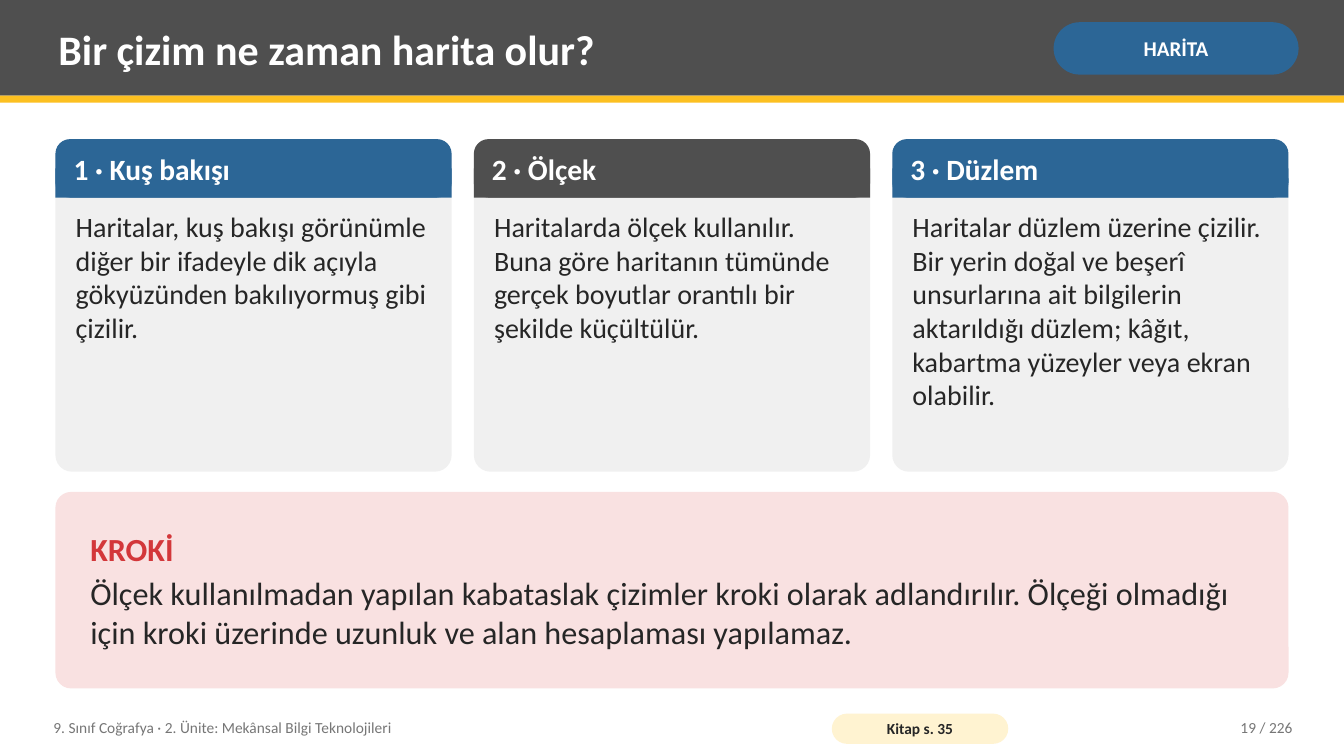
"""Build the slide on what turns a drawing into a map."""
from pptx import Presentation
from pptx.dml.color import RGBColor
from pptx.enum.shapes import MSO_SHAPE
from pptx.enum.text import MSO_ANCHOR, PP_ALIGN
from pptx.util import Pt

PX = 9144
RECT = MSO_SHAPE.RECTANGLE
ROUND = MSO_SHAPE.ROUNDED_RECTANGLE
TOP, MIDDLE = MSO_ANCHOR.TOP, MSO_ANCHOR.MIDDLE
LEFT, CENTER, RIGHT = PP_ALIGN.LEFT, PP_ALIGN.CENTER, PP_ALIGN.RIGHT

WHITE = RGBColor(0xFF, 0xFF, 0xFF)
CHARCOAL = RGBColor(0x4F, 0x4F, 0x4F)
YELLOW = RGBColor(0xFC, 0xC0, 0x21)
BLUE = RGBColor(0x2C, 0x66, 0x96)
PALE_GRAY = RGBColor(0xF0, 0xF0, 0xF0)
INK = RGBColor(0x26, 0x26, 0x26)
PINK = RGBColor(0xF9, 0xE1, 0xE1)
RED = RGBColor(0xD3, 0x37, 0x3A)
GRAY = RGBColor(0x76, 0x76, 0x76)
CREAM = RGBColor(0xFF, 0xF3, 0xD1)

deck = Presentation()
deck.slide_width, deck.slide_height = 1333 * PX, 750 * PX
page = deck.slides.add_slide(deck.slide_layouts[6])


def add_panel(left, top, width, height, fill, radius=None):
    """Add a filled rectangle, rounded when a radius is given."""
    kind = RECT if radius is None else ROUND
    panel = page.shapes.add_shape(kind, left * PX, top * PX, width * PX, height * PX)
    if radius is not None:
        panel.adjustments[0] = radius
    panel.shadow.inherit = False
    panel.fill.solid()
    panel.fill.fore_color.rgb = fill
    panel.line.fill.background()
    return panel


def write(box, lines, align=LEFT, anchor=MIDDLE, inset=(8, 4)):
    """Fill a box with lines of (text, size, colour, bold)."""
    frame = box.text_frame
    frame.word_wrap = True
    frame.vertical_anchor = anchor
    frame.margin_left = frame.margin_right = inset[0] * PX
    frame.margin_top = frame.margin_bottom = inset[1] * PX
    frame.text = "\n".join(line[0] for line in lines)
    for para, (_, size, color, bold) in zip(frame.paragraphs, lines):
        para.alignment = align
        font = para.runs[0].font
        font.name, font.size, font.bold = "Calibri", Pt(size), bold
        font.color.rgb = color


add_panel(0, 0, 1333, 95, CHARCOAL)
add_panel(0, 95, 1333, 7, YELLOW)
title = page.shapes.add_textbox(50 * PX, 7 * PX, 975 * PX, 82 * PX)
write(title, [("Bir çizim ne zaman harita olur?", 30, WHITE, True)])
topic = add_panel(1045, 22, 243, 52, BLUE, 0.5)
write(topic, [("HARİTA", 15, WHITE, True)], CENTER, inset=(5, 2))

cards = [
    ("1 · Kuş bakışı", BLUE,
     "Haritalar, kuş bakışı görünümle diğer bir ifadeyle dik açıyla "
     "gökyüzünden bakılıyormuş gibi çizilir."),
    ("2 · Ölçek", CHARCOAL,
     "Haritalarda ölçek kullanılır. Buna göre haritanın tümünde gerçek "
     "boyutlar orantılı bir şekilde küçültülür."),
    ("3 · Düzlem", BLUE,
     "Haritalar düzlem üzerine çizilir. Bir yerin doğal ve beşerî unsurlarına "
     "ait bilgilerin aktarıldığı düzlem; kâğıt, kabartma yüzeyler veya ekran "
     "olabilir."),
]
for index, (heading, color, body) in enumerate(cards):
    left = 55 + index * 415
    add_panel(left, 138, 393, 330, PALE_GRAY, 0.05)
    add_panel(left, 138, 393, 58, color, 0.25)
    add_panel(left, 167, 393, 29, color)
    heading_box = page.shapes.add_textbox((left + 10) * PX, 138 * PX, 373 * PX, 58 * PX)
    write(heading_box, [(heading, 21, WHITE, True)])
    body_box = page.shapes.add_textbox((left + 12) * PX, 204 * PX, 369 * PX, 256 * PX)
    write(body_box, [(body, 20, INK, False)], anchor=TOP)

sketch = add_panel(55, 488, 1223, 195, PINK, 0.08)
write(sketch, [
    ("KROKİ", 23, RED, True),
    ("Ölçek kullanılmadan yapılan kabataslak çizimler kroki olarak adlandırılır. "
     "Ölçeği olmadığı için kroki üzerinde uzunluk ve alan hesaplaması yapılamaz.",
     23, INK, False),
], inset=(30, 8))
sketch.text_frame.paragraphs[0].space_after = Pt(4)

unit = page.shapes.add_textbox(45 * PX, 704 * PX, 760 * PX, 36 * PX)
write(unit, [("9. Sınıf Coğrafya · 2. Ünite: Mekânsal Bilgi Teknolojileri", 11, GRAY, False)])
book_page = add_panel(825, 708, 175, 30, CREAM, 0.5)
write(book_page, [("Kitap s. 35", 11, INK, True)], CENTER, inset=(4, 0))
counter = page.shapes.add_textbox(1130 * PX, 704 * PX, 160 * PX, 36 * PX)
write(counter, [("19 / 226", 11, GRAY, False)], RIGHT)

deck.save("out.pptx")
